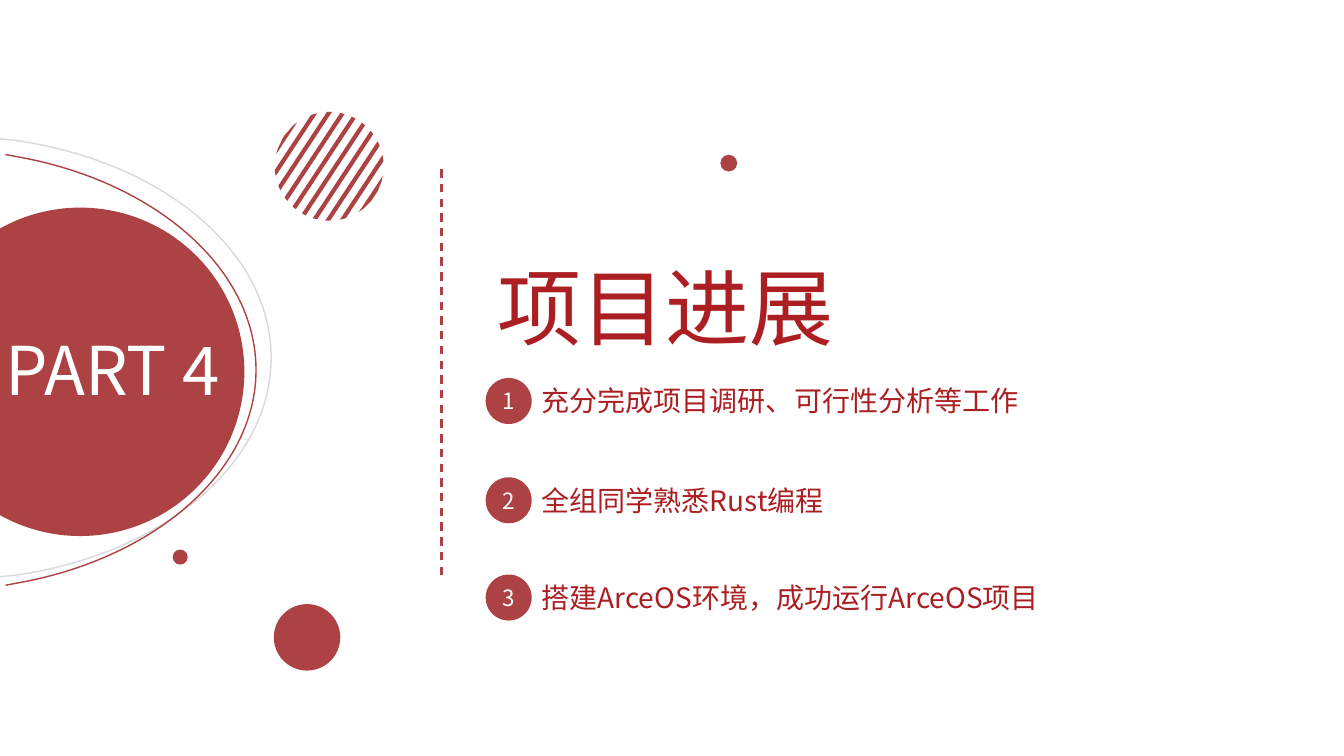
import math
import pptx
import pptx.util
import pptx.dml.color
import pptx.enum.dml
import pptx.enum.shapes
import pptx.enum.text
import pptx.oxml.ns
import lxml.etree

Color = pptx.dml.color.RGBColor.from_string
Align = pptx.enum.text.PP_ALIGN
Anchor = pptx.enum.text.MSO_ANCHOR
tag = pptx.oxml.ns.qn

theme = {
    "red": Color("AC4243"),
    "ink": Color("AB1E21"),
    "white": Color("FFFFFF"),
    "gray": Color("D9D9D9"),
    "font": "Noto Sans CJK SC",
    "title": pptx.util.Pt(60),
    "part": pptx.util.Pt(48),
    "item": pptx.util.Pt(20),
    "number": pptx.util.Pt(16),
}

deck = pptx.Presentation()
deck.slide_height = pptx.util.Inches(7.5)
deck.slide_width = deck.slide_height * 16 // 9
page = deck.slides.add_slide(deck.slide_layouts[5])
cell = deck.slide_height / 90


def grid(*cells):
    return [round(count * cell) for count in cells]


def write(box, text, size, color, align=Align.LEFT, anchor=Anchor.TOP, wrap=True):
    frame = box.text_frame
    frame.word_wrap = wrap
    frame.vertical_anchor = anchor
    para = frame.paragraphs[0]
    para.alignment = align
    span = para.add_run()
    span.text = text
    for name, value in {"size": theme[size], "name": theme["font"], "bold": False}.items():
        setattr(span.font, name, value)
    span.font.color.rgb = theme[color]
    east = lxml.etree.SubElement(span.font._element, tag("a:ea"))
    east.set("typeface", theme["font"])


arcs = [
    ("gray", [(-1.32, 16.44), (1.56, 16.68), (19.08, 19.08), (32.28, 29.76), (32.28, 42.6)]),
    ("red", [(0.65, 18.4), (3, 18.84), (18.84, 21.96), (30.48, 32.16), (30.48, 44.04)]),
]
for color, upper in arcs:
    middle = upper[-1][1]
    lower = [(x, 2 * middle - y) for x, y in reversed(upper[:-1])]
    points = [grid(*point) for point in upper + lower]
    builder = page.shapes.build_freeform(*points[0], scale=1.0)
    builder.add_line_segments(points[1:], close=False)
    arc = builder.convert_to_shape()
    segments = list(arc._element.iter(tag("a:lnTo")))
    for triple in (segments[1:4], segments[4:7]):
        curve = lxml.etree.Element(tag("a:cubicBezTo"))
        triple[0].addprevious(curve)
        for segment in triple:
            curve.append(segment[0])
            segment.getparent().remove(segment)
    arc.shadow.inherit = False
    arc.fill.background()
    arc.line.color.rgb = theme[color]
    arc.line.width = pptx.util.Pt(1)

center_x, center_y, radius = 39.2, 19.8, 6.48
pitch, thickness, shift = 1.39, 0.5, 0.38
angle = math.radians(56.6)
along = (math.cos(angle), -math.sin(angle))
across = (math.sin(angle), math.cos(angle))
stripes = None
for index in range(-5, 5):
    near = max(-radius, shift + pitch * index)
    far = shift + pitch * index + thickness
    chords = [
        (offset, math.sqrt(radius**2 - offset**2)) for offset in (near, (near + far) / 2, far)
    ]
    ends = chords + [(offset, -half) for offset, half in reversed(chords)]
    points = [
        grid(
            center_x + offset * across[0] + half * along[0],
            center_y + offset * across[1] + half * along[1],
        )
        for offset, half in ends
    ]
    if stripes is None:
        stripes = page.shapes.build_freeform(*points[0], scale=1.0)
    else:
        stripes.move_to(*points[0])
    stripes.add_line_segments(points[1:], close=True)
striped_circle = stripes.convert_to_shape()

items = [
    (45, 59.64, "充分完成项目调研、可行性分析等工作"),
    (56.82, 36.48, "全组同学熟悉Rust编程"),
    (68.4, 63.24, "搭建ArceOS环境，成功运行ArceOS项目"),
]
item_left, badge_size = 57.82, 5.48
circles = [
    (-10, 24.72, 39.1),
    (85.76, 18.42, 2),
    (20.55, 65.42, 1.8),
    (32.6, 71.92, 7.92),
] + [(item_left, top, badge_size) for top, width, text in items]

solids = [striped_circle]
for left, top, size in circles:
    solids.append(
        page.shapes.add_shape(pptx.enum.shapes.MSO_SHAPE.OVAL, *grid(left, top, size, size))
    )
for solid in solids:
    solid.shadow.inherit = False
    solid.fill.solid()
    solid.fill.fore_color.rgb = theme["red"]
    solid.line.fill.background()

for number, (badge, (top, width, text)) in enumerate(zip(solids[-3:], items), 1):
    write(badge, str(number), "number", "white", Align.CENTER, Anchor.MIDDLE, False)
    box = page.shapes.add_textbox(*grid(item_left + badge_size, top + 0.1, width, 5.28))
    write(box, text, "item", "ink")

divider = page.shapes.add_connector(
    pptx.enum.shapes.MSO_CONNECTOR.STRAIGHT, *grid(52.56, 68.46, 52.56, 19.5)
)
divider.line.color.rgb = theme["red"]
divider.line.width = pptx.util.Pt(1.5)
divider.line.dash_style = pptx.enum.dml.MSO_LINE.DASH
lxml.etree.SubElement(divider._element.spPr, tag("a:effectLst"))

title = page.shapes.title
for name, value in zip(("left", "top", "width", "height"), grid(57.84, 29.8, 42.84, 13.32)):
    setattr(title, name, value)
title.text_frame.auto_size = pptx.enum.text.MSO_AUTO_SIZE.SHAPE_TO_FIT_TEXT
write(title, "项目进展", "title", "ink", Align.CENTER, wrap=False)

part = page.shapes.add_textbox(*grid(-0.52, 38.52, 31.08, 10.92))
write(part, "PART 4", "part", "white")

deck.save("out.pptx")
